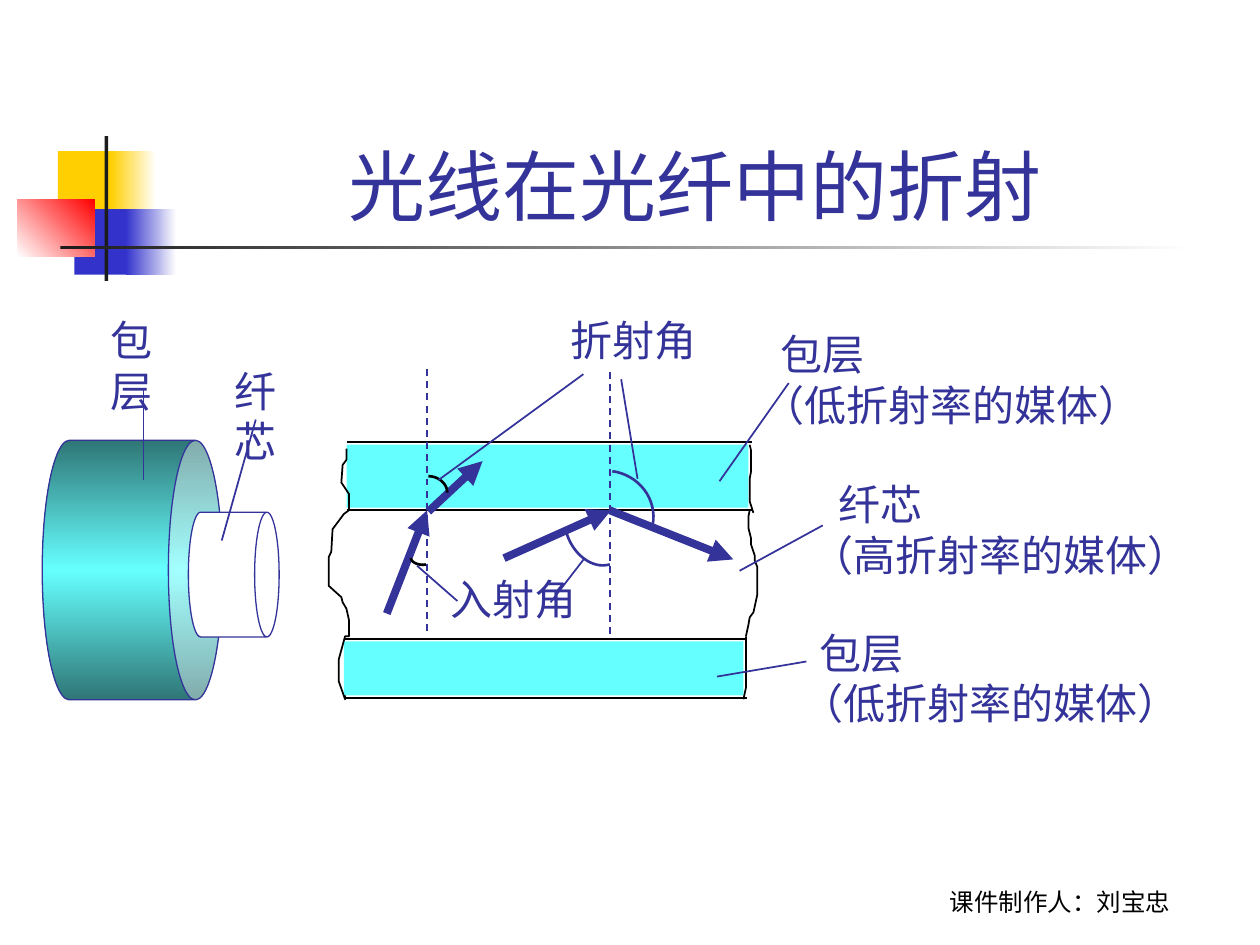
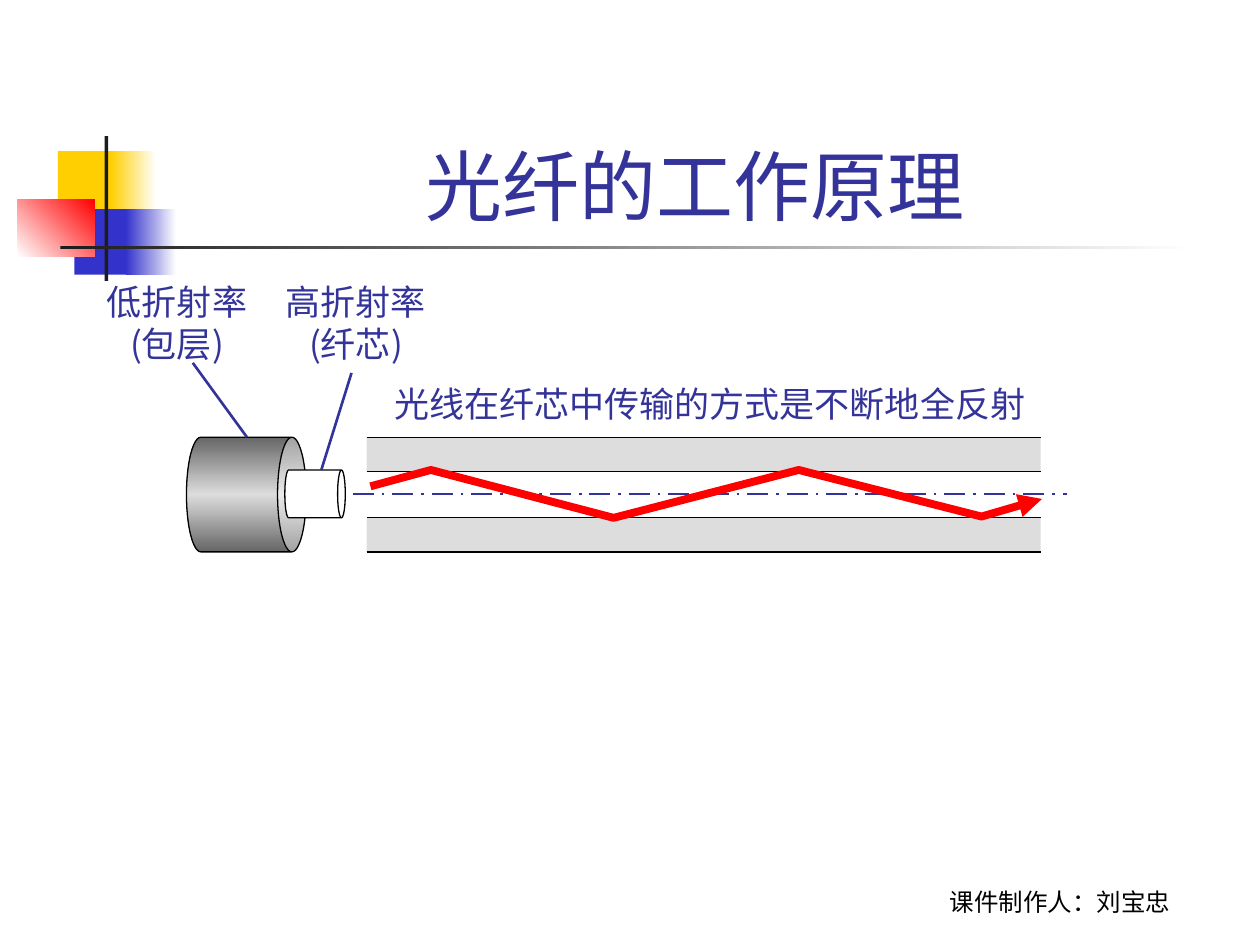
from lxml import etree
from pptx import Presentation
from pptx import util as u
from pptx.dml.color import RGBColor
from pptx.enum import dml, shapes, text
from pptx.oxml import ns

NAVY = RGBColor(0x33, 0x33, 0x99)
BLACK = RGBColor(0, 0, 0)
WHITE = RGBColor(255, 255, 255)
RED = RGBColor(255, 0, 0)
GOLD = RGBColor(0xFF, 0xCF, 0x01)
BLUE = RGBColor(0x33, 0x33, 0xCC)
INK = RGBColor(0x1C, 0x1C, 0x1C)
CYAN = RGBColor(0x66, 0xFF, 0xFF)
TEAL = RGBColor(0x2F, 0x76, 0x76)
PALE = RGBColor(0xDD, 0xDD, 0xDD)
GREY = RGBColor(0x66, 0x66, 0x66)

FONT, HAN = "Arial", "Noto Sans CJK SC"
RECT, CAN = shapes.MSO_SHAPE.RECTANGLE, shapes.MSO_SHAPE.CAN
DASH, CHAIN = dml.MSO_LINE.DASH, dml.MSO_LINE.LONG_DASH_DOT
LEFT, MID = text.PP_ALIGN.LEFT, text.PP_ALIGN.CENTER

# Shared frame: box, then one colour or (colours, angle)
FRAME = [
    ((0.46, 1.2, 0.48, 0.52), GOLD),
    ((0.88, 1.2, 0.36, 0.52), ([GOLD, WHITE], 0)),
    ((0.59, 1.66, 0.46, 0.52), BLUE),
    ((1, 1.66, 0.4, 0.52), ([BLUE, WHITE], 0)),
    ((0.14, 1.58, 0.61, 0.46), ([WHITE, RED], 315)),
    ((0.83, 1.08, 0.03, 1.15), INK),
    ((0.48, 1.95, 9, 0.03), ([INK, WHITE], 0)),
]
TITLE = (1.26, 0.23, 8.52, 1.6)
FOOT = ("课件制作人：刘宝忠", (6.83, 6.82, 3.17, 0.5))

# Slide 1: refraction
CLAD = [  # left, right, top line, bottom line
    (2.75, 5.97, 3.51, 4.05),
    (2.73, 5.93, 5.07, 5.54),
]
NORMALS = [(3.39, 2.93, 3.39, 5.05), (4.84, 2.95, 4.84, 5.07)]
RAYS = [
    (3.4, 4.06, 3.83, 3.66), (3.07, 4.87, 3.39, 4.05),
    (4, 4.43, 4.85, 4.05), (4.84, 4.05, 5.82, 4.44),
]
ARCS = [  # Bezier control points
    (BLACK, [(3.38, 4.48), (3.33, 4.49), (3.27, 4.47), (3.26, 4.43)]),
    (BLACK, [(3.4, 3.78), (3.48, 3.78), (3.55, 3.84), (3.55, 3.91)]),
    (NAVY, [(4.84, 4.48), (4.7, 4.52), (4.54, 4.4), (4.49, 4.21)]),
    (NAVY, [(4.86, 3.74), (5.07, 3.77), (5.22, 3.96), (5.18, 4.17)]),
]
EDGES = [
    [(2.75, 3.56), (2.75, 3.65), (2.72, 3.69), (2.71, 3.83), (2.77, 3.92),
     (2.77, 4.05), (2.73, 4.08), (2.64, 4.2), (2.63, 4.38), (2.61, 4.42),
     (2.61, 4.65), (2.71, 4.74), (2.72, 4.78), (2.75, 4.83), (2.77, 4.92),
     (2.77, 5.05), (2.74, 5.05), (2.69, 5.23), (2.69, 5.41), (2.74, 5.55),
     (2.74, 5.52)],
    [(5.95, 3.53), (5.96, 3.57), (5.96, 3.75), (5.95, 3.8), (5.95, 3.98),
     (5.98, 4.07)],
    [(5.95, 4.05), (5.94, 4.1), (5.94, 4.19), (5.96, 4.27), (5.96, 4.32),
     (5.99, 4.41), (5.99, 4.45), (6.01, 4.5), (6.01, 4.72), (5.98, 4.86),
     (5.95, 4.9), (5.94, 4.96), (5.92, 5.05)],
    [(5.92, 5.05), (5.92, 5.46), (5.9, 5.55)],
]
LEADS = [
    (4.93, 3.01, 5.06, 3.8), (3.48, 3.81, 4.63, 2.97),
    (3.31, 4.49, 3.63, 4.77), (4.37, 4.78, 4.64, 4.43),
    (5.87, 4.53, 6.53, 4.17), (6.26, 3.04, 5.71, 3.82),
    (6.4, 5.25, 5.69, 5.37), (1.14, 3.09, 1.14, 3.81),
    (2.03, 3.33, 1.76, 4.29),
]
LABELS = [  # lines, box, indent of the first line, wrap
    (["折射角"], (4.43, 2.45, 1.2, 0.5), 0, False),
    (["入射角"], (3.48, 4.5, 1.2, 0.5), 0, False),
    (["包层", "（低折射率的媒体）"], (5.95, 2.56, 3.2, 0.9), 0.15, False),
    (["包层", "（低折射率的媒体）"], (6.26, 4.93, 3.2, 0.9), 0.15, False),
    (["纤芯", "（高折射率的媒体）"], (6.34, 3.75, 3.48, 0.9), 0.22, True),
    (["包层"], (0.78, 2.45, 0.86, 0.5), 0, False),
    (["纤芯"], (1.76, 2.85, 0.76, 0.9), 0, True),
]

# Slide 2: total reflection
START, END = 2.91, 8.26
WALLS = [3.47, 3.74, 4.11, 4.38]
LAYERS = [PALE, WHITE, PALE]
BEAM = [(2.94, 3.86), (3.42, 3.73), (4.87, 4.11), (6.34, 3.73),
        (7.79, 4.1), (8.27, 3.96)]
AXIS = (2.8, 3.92, 8.47, 3.92)
TIES = [(2.79, 2.96, 2.55, 3.73), (1.53, 2.88, 1.96, 3.47)]
NOTES = [
    (["高折射率", "(纤芯)"], (2.17, 2.18, 1.31, 0.77), MID),
    (["低折射率", "(包层)"], (0.75, 2.18, 1.31, 0.77), MID),
    (["光线在纤芯中传输的方式是不断地全反射"], (3.03, 2.99, 5.21, 0.44), LEFT),
]


def inch(nums):
    return [u.Inches(n) for n in nums]


def blend(shape, tones, angle):
    """Fill with evenly spaced colour stops, turning with the shape."""
    shape.fill.gradient()
    grad = shape._element.spPr.find(ns.qn("a:gradFill"))
    grad.set("rotWithShape", "1")
    for part in list(grad):
        grad.remove(part)
    stops = etree.SubElement(grad, ns.qn("a:gsLst"))
    for i, tone in enumerate(tones):
        stop = etree.SubElement(stops, ns.qn("a:gs"),
                                pos=str(100000 * i // (len(tones) - 1)))
        etree.SubElement(stop, ns.qn("a:srgbClr"), val=str(tone))
    etree.SubElement(grad, ns.qn("a:lin"), ang=str(angle * 60000), scaled="0")


def block(slide, box, fill, kind=RECT, edge=None):
    shape = slide.shapes.add_shape(kind, *inch(box))
    shape.shadow.inherit = False
    if isinstance(fill, RGBColor):
        shape.fill.solid()
        shape.fill.fore_color.rgb = fill
    else:
        blend(shape, *fill)
    if edge is None:
        shape.line.fill.background()
    else:
        shape.line.color.rgb = edge
        shape.line.width = u.Pt(0.75)
    return shape


def drum(slide, box, fill, edge, rim):
    """Cylinder lying on its side."""
    shape = block(slide, box, fill, CAN, edge)
    shape.adjustments[0] = rim
    shape.rotation = 90


def stroke(shape, color, width, dash=None, arrow=False):
    shape.line.color.rgb = color
    shape.line.width = u.Pt(width)
    if dash is not None:
        shape.line.dash_style = dash
    if arrow:
        etree.SubElement(shape.line._get_or_add_ln(), ns.qn("a:tailEnd"),
                         type="triangle")


def rule(slide, ends, color, width, **style):
    line = slide.shapes.add_connector(shapes.MSO_CONNECTOR.STRAIGHT, *inch(ends))
    stroke(line, color, width, **style)
    etree.SubElement(line._element.spPr, ns.qn("a:effectLst"))


def trace(slide, points, color, width, **style):
    """Open outline through the points."""
    dots = [inch(p) for p in points]
    pen = slide.shapes.build_freeform(*dots[0])
    pen.add_line_segments(dots[1:], close=False)
    shape = pen.convert_to_shape()
    shape.shadow.inherit = False
    shape.fill.background()
    stroke(shape, color, width, **style)


def curve(knots, steps=16):
    """Points along a cubic Bezier."""
    points = []
    for i in range(steps + 1):
        t = i / steps
        mix = [(1 - t) ** 3, 3 * t * (1 - t) ** 2, 3 * t * t * (1 - t), t ** 3]
        points.append([sum(m * k[axis] for m, k in zip(mix, knots))
                       for axis in (0, 1)])
    return points


def write(frame, lines, size, font, color, align):
    frame.text = "\n".join(lines)
    for par in frame.paragraphs:
        par.alignment = align
        for run in par.runs:
            run.font.size = u.Pt(size)
            run.font.name = font
            run.font.color.rgb = color
            etree.SubElement(run._r.get_or_add_rPr(), ns.qn("a:ea"),
                             typeface=HAN)


def label(slide, lines, box, size, font=FONT, color=NAVY, align=LEFT,
          wrap=False, indent=0):
    frame = slide.shapes.add_textbox(*inch(box)).text_frame
    write(frame, lines, size, font, color, align)
    frame.word_wrap = wrap
    frame.auto_size = text.MSO_AUTO_SIZE.SHAPE_TO_FIT_TEXT
    if indent:
        props = frame.paragraphs[0]._p.get_or_add_pPr()
        props.set("marL", str(u.Inches(indent)))
    return frame


def begin(deck, name):
    """Slide with the shared frame, title and footer."""
    slide = deck.slides.add_slide(deck.slide_layouts[5])
    for box, fill in FRAME:
        block(slide, box, fill)
    line, box = FOOT
    foot = label(slide, [line], box, 14, "Lato", BLACK, MID, wrap=True)
    foot.auto_size = text.MSO_AUTO_SIZE.NONE
    foot.vertical_anchor = text.MSO_ANCHOR.BOTTOM
    title = slide.shapes.title
    title.left, title.top, title.width, title.height = inch(TITLE)
    frame = title.text_frame
    write(frame, [name], 44, FONT, NAVY, MID)
    frame.auto_size = text.MSO_AUTO_SIZE.NONE
    frame.vertical_anchor = text.MSO_ANCHOR.BOTTOM
    frame.margin_left = frame.margin_right = 0
    frame.margin_top = frame.margin_bottom = 0
    return slide


def refract(deck):
    slide = begin(deck, "光线在光纤中的折射")
    for left, right, top, base in CLAD:
        for y in (top, base):
            rule(slide, (left, y, right, y), BLACK, 1)
        block(slide, (left, top + 0.02, right - left - 0.03, base - top - 0.04),
              CYAN)
    for ends in NORMALS:
        rule(slide, ends, NAVY, 1, dash=DASH)
    for ends in RAYS:
        rule(slide, ends, NAVY, 4.5, arrow=True)
    for color, knots in ARCS:
        trace(slide, curve(knots), color, 1.5)
    for points in EDGES:
        trace(slide, points, BLACK, 1)
    drum(slide, (0.02, 3.81, 2.06, 1.43), ([TEAL, CYAN, TEAL], 0), NAVY, 0.3)
    drum(slide, (1.36, 4.2, 0.99, 0.72), WHITE, NAVY, 0.27)
    for ends in LEADS:
        rule(slide, ends, NAVY, 1)
    for lines, box, indent, wrap in LABELS:
        label(slide, lines, box, 24, wrap=wrap, indent=indent)


def reflect(deck):
    slide = begin(deck, "光纤的工作原理")
    for top, base, fill in zip(WALLS, WALLS[1:], LAYERS):
        block(slide, (START, top, END - START, base - top), fill)
    drum(slide, (1.5, 3.45, 0.91, 0.95), ([GREY, PALE, GREY], 0), BLACK, 0.25)
    drum(slide, (2.31, 3.68, 0.38, 0.48), WHITE, BLACK, 0.16)
    for y in WALLS:
        rule(slide, (START, y, END, y), BLACK, 0.75)
    rule(slide, AXIS, NAVY, 1.5, dash=CHAIN)
    for ends in TIES:
        rule(slide, ends, NAVY, 1.5)
    for lines, box, align in NOTES:
        label(slide, lines, box, 20, HAN, align=align)
    trace(slide, BEAM, RED, 4.5, arrow=True)


def main():
    deck = Presentation()
    deck.slide_width, deck.slide_height = inch((10, 7.5))
    refract(deck)
    reflect(deck)
    deck.save("out.pptx")


if __name__ == "__main__":
    main()
